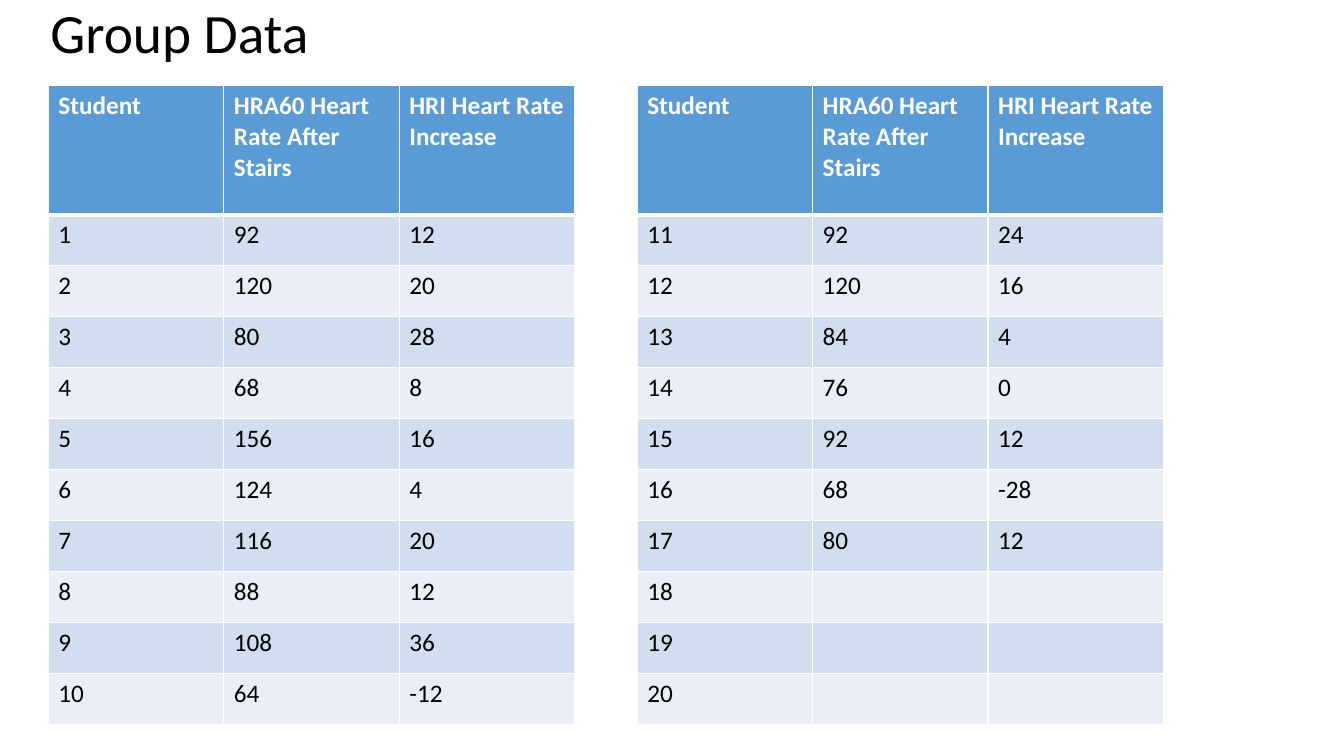
from lxml.etree import SubElement
from pptx import Presentation
from pptx.dml.color import RGBColor
from pptx.enum.text import MSO_ANCHOR, MSO_AUTO_SIZE, PP_ALIGN
from pptx.oxml.ns import qn
from pptx.util import Inches, Pt

BLACK = RGBColor(0x00, 0x00, 0x00)
WHITE = RGBColor(0xFF, 0xFF, 0xFF)
HEADER_BLUE = RGBColor(0x5B, 0x9B, 0xD5)
BANDS = [RGBColor(0xEA, 0xEF, 0xF7), RGBColor(0xD2, 0xDE, 0xEF)]
FONT = "Calibri"

COL_W, HEADER_H, ROW_H = Inches(1.74), Inches(1.28), Inches(0.506)
TABLE_TOP = Inches(0.85)
HEADERS = ["Student", "HRA60 Heart Rate After Stairs", "HRI Heart Rate Increase"]
ROWS_PER_TABLE = 10
TABLE_LEFTS = [Inches(0.48), Inches(6.32)]
HEART_RATES = [
    (92, 12), (120, 20), (80, 28), (68, 8), (156, 16),
    (124, 4), (116, 20), (88, 12), (108, 36), (64, -12),
    (92, 24), (120, 16), (84, 4), (76, 0), (92, 12),
    (68, -28), (80, 12), ("", ""), ("", ""), ("", ""),
]


def set_borders(cell, bottom_width):
    """Draw white cell borders, 1 pt except for the bottom edge."""
    tcPr = cell._tc.get_or_add_tcPr()
    for side, width in [("L", 1), ("R", 1), ("T", 1), ("B", bottom_width)]:
        ln = SubElement(tcPr, qn(f"a:ln{side}"), w=str(Pt(width)))
        SubElement(SubElement(ln, qn("a:solidFill")), qn("a:srgbClr"), val=str(WHITE))


def style_text(p, size, color, bold=False):
    """Set the font of a whole paragraph."""
    p.font.name = FONT
    p.font.size = Pt(size)
    p.font.bold = bold
    p.font.color.rgb = color


prs = Presentation()
prs.slide_width, prs.slide_height = Inches(13.33), Inches(7.5)
s = prs.slides.add_slide(prs.slide_layouts[5])

title = s.shapes.title
title.left, title.top = Inches(0.4), Inches(0.1)
title.width, title.height = Inches(12.05), Inches(0.51)
tf = title.text_frame
tf.text = "Group Data"
tf.auto_size = MSO_AUTO_SIZE.NONE
tf.vertical_anchor = MSO_ANCHOR.MIDDLE
p = tf.paragraphs[0]
p.alignment = PP_ALIGN.LEFT
p.line_spacing = 0.9
style_text(p, 39.6, BLACK)

students = [(number, *rates) for number, rates in enumerate(HEART_RATES, 1)]
for i, left in enumerate(TABLE_LEFTS):
    first = i * ROWS_PER_TABLE
    rows = [HEADERS] + students[first:first + ROWS_PER_TABLE]
    table = s.shapes.add_table(
        len(rows), len(HEADERS), left, TABLE_TOP,
        COL_W * len(HEADERS), HEADER_H + ROW_H * ROWS_PER_TABLE).table
    for column in table.columns:
        column.width = COL_W
    for r, values in enumerate(rows):
        is_header = r == 0
        table.rows[r].height = HEADER_H if is_header else ROW_H
        for c, value in enumerate(values):
            cell = table.cell(r, c)
            cell.text = str(value)
            style_text(cell.text_frame.paragraphs[0], 18,
                       WHITE if is_header else BLACK, is_header)
            set_borders(cell, 3 if is_header else 1)
            cell.fill.solid()
            cell.fill.fore_color.rgb = HEADER_BLUE if is_header else BANDS[r % 2]

prs.save("out.pptx")
